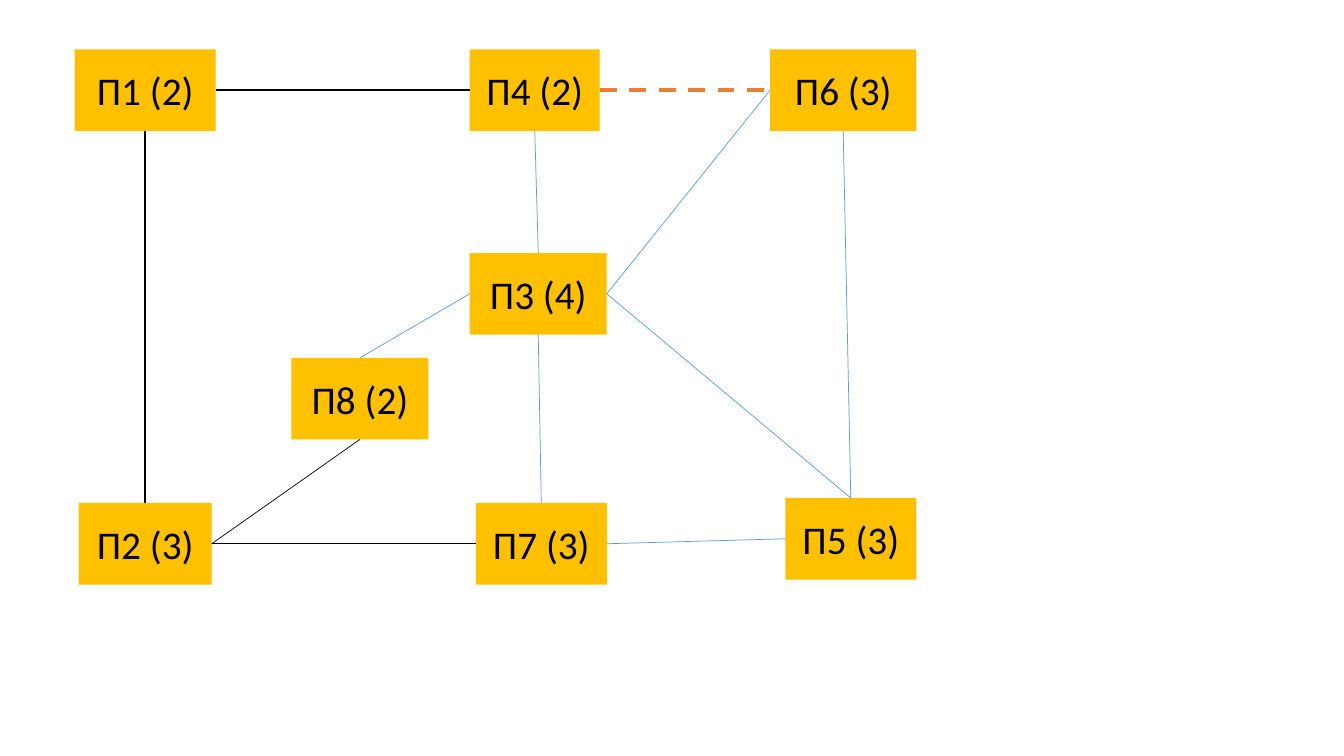
"""Builds a slide with a network of eight linked nodes."""
from lxml import etree
from pptx import Presentation
from pptx.dml.color import RGBColor
from pptx.enum.dml import MSO_LINE
from pptx.enum.shapes import MSO_CONNECTOR, MSO_SHAPE
from pptx.enum.text import MSO_ANCHOR, PP_ALIGN
from pptx.oxml.ns import qn
from pptx.util import Inches, Pt

RECT = MSO_SHAPE.RECTANGLE
STRAIGHT = MSO_CONNECTOR.STRAIGHT
DASH = MSO_LINE.DASH
MIDDLE = MSO_ANCHOR.MIDDLE
CENTER = PP_ALIGN.CENTER
TOP, LEFT, BOTTOM, RIGHT = range(4)

WIDTH, HEIGHT = Inches(13.333), Inches(7.5)
BLACK, BLUE, ORANGE, AMBER = "000000", "5B9BD5", "ED7D31", "FFC000"

ROW_TOP, ROW_HUB, ROW_SIDE, ROW_LOW, ROW_BASE = 6.53, 33.47, 47.33, 65.87, 66.53
NODE_HEIGHT = 10.8

NODES = {
    "П1": ("(2)", 5.55, ROW_TOP, 10.5),
    "П2": ("(3)", 5.85, ROW_BASE, 9.9),
    "П4": ("(2)", 34.95, ROW_TOP, 9.68),
    "П7": ("(3)", 35.4, ROW_BASE, 9.75),
    "П8": ("(2)", 21.68, ROW_SIDE, 10.2),
    "П3": ("(4)", 34.95, ROW_HUB, 10.2),
    "П5": ("(3)", 58.43, ROW_LOW, 9.75),
    "П6": ("(3)", 57.3, ROW_TOP, 10.88),
}

LINKS = [
    ("П1", BOTTOM, "П2", TOP, BLACK, 1, None),
    ("П4", LEFT, "П1", RIGHT, BLACK, 1.5, None),
    ("П2", RIGHT, "П7", LEFT, BLACK, 0.5, None),
    ("П2", RIGHT, "П8", BOTTOM, BLACK, 0.5, None),
    ("П4", BOTTOM, "П3", TOP, BLUE, 0.5, None),
    ("П3", RIGHT, "П5", TOP, BLUE, 0.5, None),
    ("П3", RIGHT, "П6", LEFT, BLUE, 0.5, None),
    ("П7", TOP, "П3", BOTTOM, BLUE, 0.5, None),
    ("П3", LEFT, "П8", TOP, BLUE, 0.5, None),
    ("П5", TOP, "П6", BOTTOM, BLUE, 0.5, None),
    ("П5", LEFT, "П7", RIGHT, BLUE, 0.5, None),
    ("П4", RIGHT, "П6", LEFT, ORANGE, 3, DASH),
]


def color(value):
    """Turn a hex string into a colour."""
    return RGBColor.from_string(value)


def across(share):
    """Turn a percentage of the slide width into a length."""
    return int(WIDTH * share / 100)


def down(share):
    """Turn a percentage of the slide height into a length."""
    return int(HEIGHT * share / 100)


def add_node(s, text, left, top, width):
    """Draw one labelled node."""
    sp = s.shapes.add_shape(RECT, across(left), down(top), across(width), down(NODE_HEIGHT))
    sp.shadow.inherit = False
    sp.fill.solid()
    sp.fill.fore_color.rgb = color(AMBER)
    sp.line.fill.background()
    tf = sp.text_frame
    tf.word_wrap = True
    tf.vertical_anchor = MIDDLE
    p = tf.paragraphs[0]
    p.alignment = CENTER
    r = p.add_run()
    r.text = text
    r.font.size = Pt(28)
    r.font.name = "Calibri"
    r.font.color.rgb = color(BLACK)
    return sp


def add_link(s, start, start_side, end, end_side, line_color, weight, dash):
    """Join the sides of two nodes with a line."""
    link = s.shapes.add_connector(STRAIGHT, 0, 0, 0, 0)
    link.begin_connect(start, start_side)
    link.end_connect(end, end_side)
    link.line.color.rgb = color(line_color)
    link.line.width = Pt(weight)
    if dash is not None:
        link.line.dash_style = dash
    etree.SubElement(link.element.spPr, qn("a:effectLst"))


def main():
    """Build and save the slide."""
    prs = Presentation()
    prs.slide_width, prs.slide_height = WIDTH, HEIGHT
    s = prs.slides.add_slide(prs.slide_layouts[6])
    nodes = {
        name: add_node(s, f"{name} {count}", *place)
        for name, (count, *place) in NODES.items()
    }
    for start, start_side, end, end_side, *style in LINKS:
        add_link(s, nodes[start], start_side, nodes[end], end_side, *style)
    prs.save("out.pptx")


if __name__ == "__main__":
    main()
